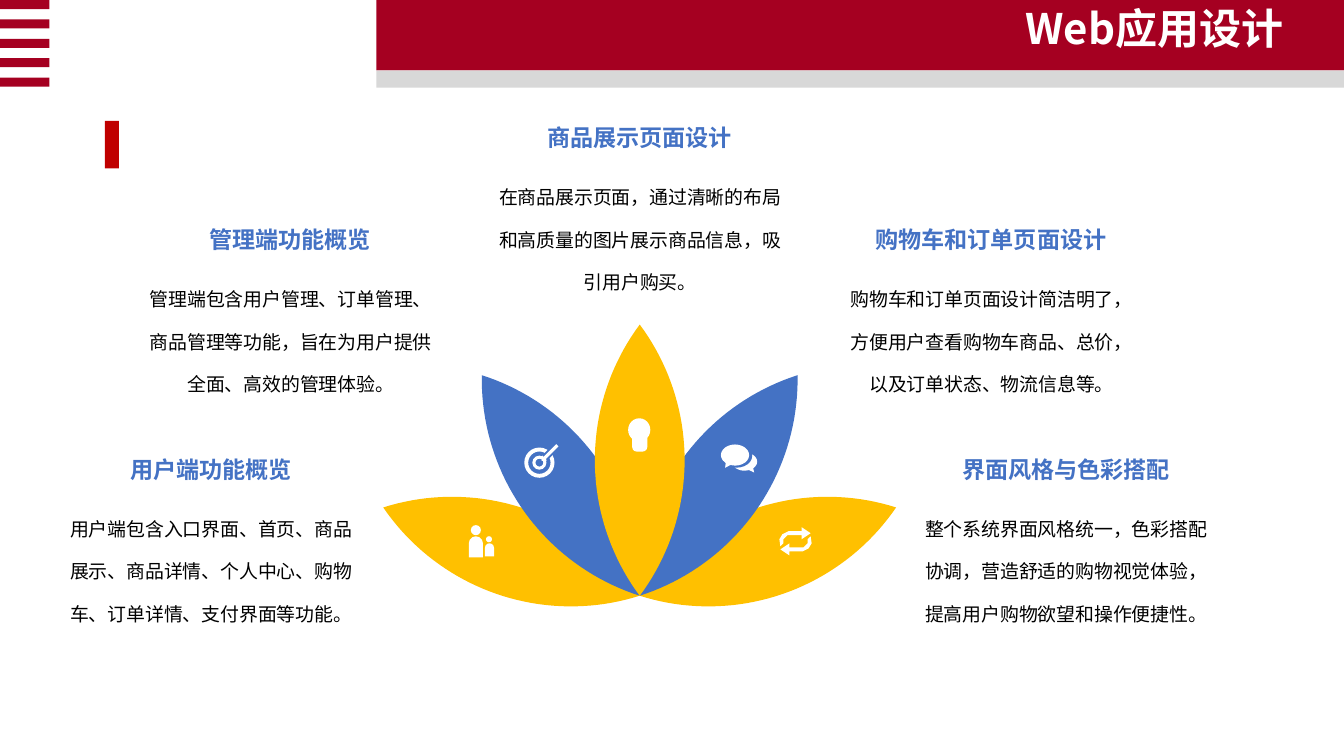
"""Build the web design slide: a lotus of five petals with five captions."""
from dataclasses import dataclass
from math import asin, cos, radians, sin
from lxml import etree
from pptx import Presentation
from pptx.dml.color import RGBColor as Rgb
from pptx.enum.shapes import MSO_SHAPE as Kind
from pptx.enum.text import MSO_ANCHOR as Anchor, MSO_AUTO_SIZE as Fit, PP_ALIGN as Align
from pptx.oxml.ns import qn
from pptx.util import Inches, Pt


@dataclass(frozen=True)
class Theme:
    font: str = "Noto Sans CJK SC"
    wine: str = "A50021"
    red: str = "C00000"
    grey: str = "D8D8D8"
    gold: str = "FFC000"
    blue: str = "4472C4"
    white: str = "FFFFFF"
    black: str = "000000"
    title: float = 30
    head: float = 16.5
    body: float = 13.5


look = Theme()
WIDE, HIGH = 13.33, 7.5
MID, BASE = 6.345, 5.91
TITLE = "Web应用设计"

# centre, top, heading, body
NOTES = [
    (MID, 1.05, "商品展示页面设计",
     "在商品展示页面，通过清晰的布局和高质量的图片展示商品信息，吸引用户购买。"),
    (2.88, 2.06, "管理端功能概览",
     "管理端包含用户管理、订单管理、商品管理等功能，旨在为用户提供全面、高效的管理体验。"),
    (2.09, 4.34, "用户端功能概览",
     "用户端包含入口界面、首页、商品展示、商品详情、个人中心、购物车、订单详情、支付界面等功能。"),
    (9.83, 2.06, "购物车和订单页面设计",
     "购物车和订单页面设计简洁明了，方便用户查看购物车商品、总价，以及订单状态、物流信息等。"),
    (10.57, 4.34, "界面风格与色彩搭配",
     "整个系统界面风格统一，色彩搭配协调，营造舒适的购物视觉体验，提高用户购物欲望和操作便捷性。"),
]
PETALS = [(71, look.gold), (-71, look.gold), (35.6, look.blue),
          (-35.6, look.blue), (0, look.gold)]
LONG, HALF = 2.69, .445

# kind, box, adjustments, turn, colour
ICONS = [
    (Kind.DONUT, (5.2, 4.44, .3, .3), [.13], 0, look.white),
    (Kind.DONUT, (5.28, 4.52, .14, .14), [.22], 0, look.white),
    (Kind.RECTANGLE, (5.39, 4.45, .14, .07), [], -45, look.blue),
    (Kind.LEFT_ARROW, (5.34, 4.46, .22, .07), [.45, .6], -45, look.white),
    (Kind.OVAL_CALLOUT, (7.26, 4.49, .25, .18), [.38, .6], 0, look.white),
    (Kind.OVAL, (7.15, 4.41, .31, .23), [], 0, look.blue),
    (Kind.OVAL_CALLOUT, (7.15, 4.41, .28, .21), [-.35, .6], 0, look.white),
    (Kind.OVAL, (6.23, 4.15, .22, .23), [], 0, look.white),
    (Kind.ROUNDED_RECTANGLE, (6.27, 4.3, .15, .18), [.3], 0, look.white),
    (Kind.ROUND_2_SAME_RECTANGLE, (4.65, 5.32, .14, .21), [.5], 0, look.white),
    (Kind.OVAL, (4.67, 5.21, .1, .1), [], 0, look.white),
    (Kind.ROUND_2_SAME_RECTANGLE, (4.81, 5.39, .09, .13), [.5], 0, look.white),
    (Kind.OVAL, (4.82, 5.32, .06, .06), [], 0, look.white),
]
LOOP = [(7.95, 5.23), (8.04, 5.29), (7.95, 5.35), (7.95, 5.31), (7.81, 5.31),
        (7.77, 5.35), (7.77, 5.39), (7.74, 5.42), (7.73, 5.35), (7.76, 5.3),
        (7.82, 5.27), (7.95, 5.27)]


def paint(shape, tint):
    shape.shadow.inherit = False
    shape.fill.solid()
    shape.fill.fore_color.rgb = Rgb.from_string(tint)
    shape.line.fill.background()
    return shape


def block(box, tint, kind=Kind.RECTANGLE):
    return paint(page.shapes.add_shape(kind, *map(Inches, box)), tint)


def draw(dots, tint):
    dots = [(Inches(x), Inches(y)) for x, y in dots]
    pen = page.shapes.build_freeform(*dots[0])
    pen.add_line_segments(dots[1:], close=True)
    paint(pen.convert_to_shape(), tint)


def petal(turn, count=40):
    """Join two equal arcs and lean them by the turn about the base."""
    reach = LONG / 2
    curve = (reach ** 2 + HALF ** 2) / (2 * HALF)
    span, lean = asin(reach / curve), radians(turn)
    dots = []
    for side in (1, -1):
        for k in range(count):
            a = span * (2 * k / count - 1)
            x = side * (curve * cos(a) - curve + HALF)
            y = reach + side * curve * sin(a)
            dots.append((MID + x * cos(lean) + y * sin(lean),
                         BASE + x * sin(lean) - y * cos(lean)))
    return dots


def write(text, box, size, tint, bold=False, align=Align.CENTER, space=1.5,
          anchor=Anchor.TOP, pad=(.07, .04), shape=None):
    shape = shape or page.shapes.add_textbox(0, 0, 0, 0)
    shape.left, shape.top, shape.width, shape.height = map(Inches, box)
    frame = shape.text_frame
    frame.word_wrap, frame.auto_size, frame.vertical_anchor = True, Fit.NONE, anchor
    frame.margin_left = frame.margin_right = Inches(pad[0])
    frame.margin_top = frame.margin_bottom = Inches(pad[1])
    para = frame.paragraphs[0]
    para.alignment, para.line_spacing = align, space
    run = para.add_run()
    run.text = text
    font = run.font
    font.name, font.size, font.bold = look.font, Pt(size), bold
    font.color.rgb = Rgb.from_string(tint)
    etree.SubElement(run._r.get_or_add_rPr(), qn("a:ea")).set("typeface", look.font)


deck = Presentation()
deck.slide_width, deck.slide_height = Inches(WIDE), Inches(HIGH)
page = deck.slides.add_slide(deck.slide_layouts[5])

edge = .28 * WIDE
block((edge, 0, WIDE - edge, .7), look.wine)
block((edge, .7, WIDE - edge, .17), look.grey)
for row in range(5):
    block((0, row * HIGH / 39, .49, .09), look.wine)
block((1.04, 1.2, .14, .47), look.red)

for turn, tint in PETALS:
    draw(petal(turn), tint)
for kind, box, bends, turn, tint in ICONS:
    icon = block(box, tint, kind)
    icon.rotation = turn
    for k, bend in enumerate(bends):
        icon.adjustments[k] = bend
draw(LOOP, look.white)
draw([(15.78 - x, 10.74 - y) for x, y in LOOP], look.white)

for mid, top, head, body in NOTES:
    write(head, (mid - 1.77, top, 3.54, .51), look.head, look.blue, bold=True)
    write(body, (mid - 1.52, top + .37, 3.05, 1.72), look.body, look.black,
          space=1.88, anchor=Anchor.MIDDLE)

name = page.shapes.title
page.shapes._spTree.append(name._element)
write(TITLE, (6.07, .15, 6.76, .6), look.title, look.white, bold=True,
      align=Align.RIGHT, space=.6, pad=(.1, .05), shape=name)
deck.save("out.pptx")
